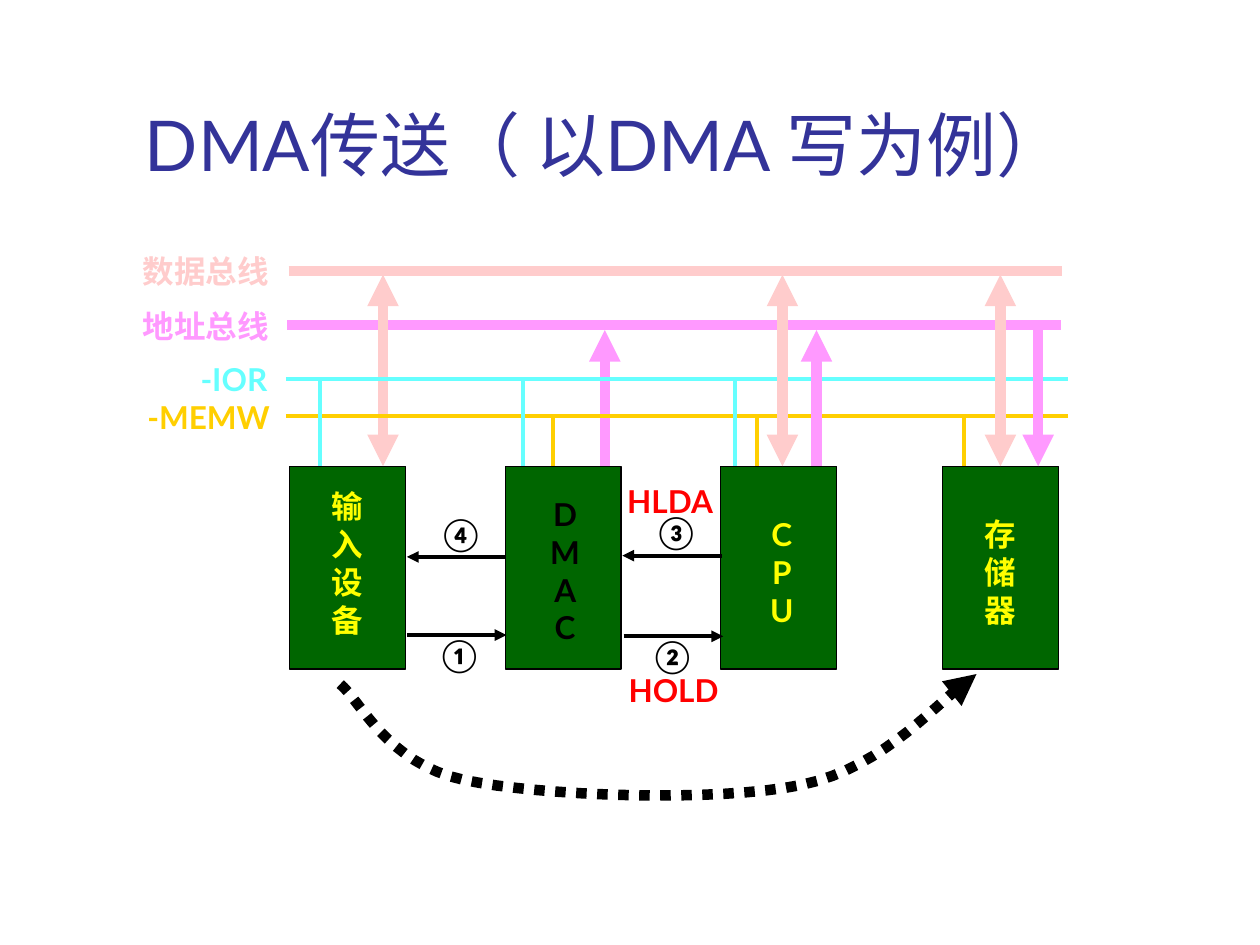
"""Build a slide showing a DMA transfer, with a write as the example."""
from dataclasses import dataclass

from lxml import etree
from pptx import Presentation
from pptx.dml.color import RGBColor
from pptx.enum.dml import MSO_LINE
from pptx.enum.shapes import MSO_CONNECTOR, MSO_SHAPE
from pptx.enum.text import MSO_ANCHOR, PP_ALIGN
from pptx.oxml.ns import qn
from pptx.util import Inches, Pt

STRAIGHT = MSO_CONNECTOR.STRAIGHT
RECTANGLE = MSO_SHAPE.RECTANGLE
DOTTED = MSO_LINE.ROUND_DOT
LEFT, CENTER, RIGHT = PP_ALIGN.LEFT, PP_ALIGN.CENTER, PP_ALIGN.RIGHT
BOTTOM, TOP = MSO_ANCHOR.BOTTOM, MSO_ANCHOR.TOP

SLIDE_WIDTH, SLIDE_HEIGHT = Inches(10), Inches(7.5)
COLUMN, ROW = SLIDE_WIDTH / 100, SLIDE_HEIGHT / 75
FONT = "Lato"

NAVY = RGBColor(0x33, 0x33, 0x99)
GREEN = RGBColor(0x00, 0x66, 0x00)
BLACK = RGBColor(0x00, 0x00, 0x00)
YELLOW = RGBColor(0xFF, 0xFF, 0x00)
RED = RGBColor(0xFF, 0x00, 0x00)
PINK = RGBColor(0xFF, 0xCC, 0xCC)
MAGENTA = RGBColor(0xFF, 0x99, 0xFF)
CYAN = RGBColor(0x66, 0xFF, 0xFF)
GOLD = RGBColor(0xFF, 0xCF, 0x01)

THICK, THIN, OUTLINE = 6, 2.25, 0.75
UNIT_TOP, UNIT_WIDTH, UNIT_HEIGHT = 37, 9.2, 16.1
LABEL_HEIGHT, SIGNAL_LABEL_WIDTH = 4, 9.6


@dataclass(frozen=True)
class Unit:
    """A hardware block and the column of letters on it."""
    left: float
    name: str
    name_left: float
    name_top: float
    name_width: float
    name_height: float
    color: RGBColor = YELLOW


@dataclass(frozen=True)
class Wire:
    """A straight line between two grid points."""
    start: tuple[float, float]
    end: tuple[float, float]
    color: RGBColor
    weight: float
    head: bool = False
    tail: bool = False


@dataclass(frozen=True)
class Label:
    """A single line of text on the grid."""
    text: str
    left: float
    top: float
    width: float
    color: RGBColor
    align: PP_ALIGN = LEFT
    wrap: bool = False


def bus(left: float, right: float, row: float, color: RGBColor, weight: float) -> Wire:
    """Return a horizontal bus line."""
    return Wire((left, row), (right, row), color, weight)


def data_link(column: float) -> Wire:
    """Return a two-way arrow between the data bus and a unit."""
    return Wire((column, 21.8), (column, UNIT_TOP), PINK, THICK, True, True)


def address_link(column: float, upward: bool = True) -> Wire:
    """Return a one-way arrow between the address bus and a unit."""
    return Wire((column, 26.2), (column, UNIT_TOP), MAGENTA, THICK, upward, not upward)


def control_link(column: float, row: float, color: RGBColor) -> Wire:
    """Return a plain line from a control bus down to a unit."""
    return Wire((column, row), (column, UNIT_TOP), color, THIN)


def signal(left: float, row: float, leftward: bool) -> Wire:
    """Return a handshake arrow between neighbouring units."""
    return Wire((left, row), (left + 7.9, row), BLACK, THIN, leftward, not leftward)


def bus_label(text: str, left: float, top: float, color: RGBColor) -> Label:
    """Return a right-aligned bus name."""
    return Label(text, left, top, 12.1, color, RIGHT, True)


def step_label(text: str, left: float, top: float) -> Label:
    """Return a circled step number."""
    return Label(text, left, top, 4.3, BLACK)


UNITS = [
    Unit(23, "输入设备", 25, 38.2, 5.1, 13),
    Unit(40.1, "DMAC", 42.3, 38.8, 5.1, 13, BLACK),
    Unit(57.2, "CPU", 59.5, 40.4, 5.1, 10),
    Unit(74.8, "存储器", 77, 40.4, 4.7, 10),
]
WIRES = [
    bus(22.9, 84.3, 21.5, PINK, THICK),
    bus(22.8, 84.2, 25.8, MAGENTA, THICK),
    data_link(30.4),
    address_link(48),
    bus(22.7, 84.8, 30.1, CYAN, THIN),
    bus(22.7, 84.8, 33, GOLD, THIN),
    address_link(64.8),
    address_link(82.4, upward=False),
    data_link(79.4),
    *(control_link(column, 30.2, CYAN) for column in (25.4, 41.5, 58.3)),
    *(control_link(column, 33, GOLD) for column in (43.9, 60.1, 76.5)),
    data_link(62.1),
    signal(32.3, 50.4, leftward=False),
    signal(49.5, 50.5, leftward=False),
    signal(49.4, 44.1, leftward=True),
    signal(32.3, 44.2, leftward=True),
]
LABELS = [
    bus_label("数据总线", 10.2, 19.5, PINK),
    bus_label("地址总线", 10.2, 23.9, MAGENTA),
    bus_label("-IOR", 10.1, 28.1, CYAN),
    bus_label("-MEMW", 10.3, 31.1, GOLD),
    step_label("①", 34.1, 50),
    step_label("②", 51, 50.1),
    step_label("③", 51.3, 40.2),
    step_label("④", 34.2, 40.4),
    Label("HOLD", 48.9, 52.8, SIGNAL_LABEL_WIDTH, RED),
    Label("HLDA", 48.8, 37.8, SIGNAL_LABEL_WIDTH, RED),
]
TRANSFER_CURVE = [
    ((27, 54.3), (28.6, 55.6), (30.7, 60.6), (36.8, 61.9)),
    ((36.8, 61.9), (42.9, 63.2), (56.9, 63.7), (63.6, 62.3)),
    ((63.6, 62.3), (70.4, 60.9), (74.6, 55.4), (77.5, 53.5)),
]


def grid(column: float, row: float) -> tuple[int, int]:
    """Convert grid columns and rows to slide lengths."""
    return round(column * COLUMN), round(row * ROW)


def add_run(paragraph, text: str, size: float, color: RGBColor, bold: bool) -> None:
    """Append one formatted run."""
    run = paragraph.add_run()
    run.text = text
    run.font.name, run.font.size, run.font.bold = FONT, Pt(size), bold
    run.font.color.rgb = color


def style_line(shape, color: RGBColor, weight: float, head: bool, tail: bool) -> None:
    """Set colour, weight and arrowheads, and clear the shadow."""
    shape.line.color.rgb = color
    shape.line.width = Pt(weight)
    outline = shape.line._get_or_add_ln()
    for tag, present in (("a:headEnd", head), ("a:tailEnd", tail)):
        if present:
            etree.SubElement(outline, qn(tag), type="triangle")
    properties = shape._element.spPr
    if properties.find(qn("a:effectLst")) is None:
        etree.SubElement(properties, qn("a:effectLst"))


def add_wire(slide, wire: Wire) -> None:
    """Draw a straight line."""
    connector = slide.shapes.add_connector(STRAIGHT, *grid(*wire.start), *grid(*wire.end))
    style_line(connector, wire.color, wire.weight, wire.head, wire.tail)


def add_label(slide, label: Label, height: float = LABEL_HEIGHT) -> None:
    """Draw a bold text box."""
    box = slide.shapes.add_textbox(*grid(label.left, label.top), *grid(label.width, height))
    frame = box.text_frame
    frame.word_wrap = label.wrap
    frame.vertical_anchor = TOP
    frame.paragraphs[0].alignment = label.align
    add_run(frame.paragraphs[0], label.text, 18, label.color, True)


def add_unit(slide, unit: Unit) -> None:
    """Draw a block."""
    shape = slide.shapes.add_shape(
        RECTANGLE, *grid(unit.left, UNIT_TOP), *grid(UNIT_WIDTH, UNIT_HEIGHT))
    shape.shadow.inherit = False
    shape.fill.solid()
    shape.fill.fore_color.rgb = GREEN
    shape.line.color.rgb = BLACK
    shape.line.width = Pt(OUTLINE)


def curve_point(segment, share: float) -> tuple[int, int]:
    """Return the point at a share of a cubic curve."""
    rest = 1 - share
    weights = (rest ** 3, 3 * rest ** 2 * share, 3 * rest * share ** 2, share ** 3)
    return grid(*(sum(w * value for w, value in zip(weights, axis)) for axis in zip(*segment)))


def add_transfer(slide, steps: int = 16) -> None:
    """Draw the dotted arrow from the input device to memory."""
    points = [curve_point(segment, step / steps)
              for segment in TRANSFER_CURVE for step in range(1, steps + 1)]
    builder = slide.shapes.build_freeform(*grid(*TRANSFER_CURVE[0][0]))
    builder.add_line_segments(points, close=False)
    shape = builder.convert_to_shape()
    shape.fill.background()
    shape.line.dash_style = DOTTED
    style_line(shape, BLACK, THICK, False, True)


def add_title(slide) -> None:
    """Place and format the title."""
    title = slide.shapes.title
    title.left, title.top = grid(10.5, 2.7)
    title.width, title.height = grid(85.2, 12.5)
    title.text_frame.vertical_anchor = BOTTOM
    paragraph = title.text_frame.paragraphs[0]
    paragraph.alignment = LEFT
    add_run(paragraph, "DMA传送（ 以DMA 写为例）", 40, NAVY, False)


def main() -> None:
    """Build and save the presentation."""
    presentation = Presentation()
    presentation.slide_width, presentation.slide_height = SLIDE_WIDTH, SLIDE_HEIGHT
    slide = presentation.slides.add_slide(presentation.slide_layouts[5])
    add_title(slide)
    for unit in UNITS:
        add_unit(slide, unit)
    for wire in WIRES:
        add_wire(slide, wire)
    for unit in UNITS:
        add_label(slide, Label(unit.name, unit.name_left, unit.name_top, unit.name_width,
                               unit.color, CENTER, True), unit.name_height)
    for label in LABELS:
        add_label(slide, label)
    add_transfer(slide)
    presentation.save("out.pptx")


if __name__ == "__main__":
    main()
